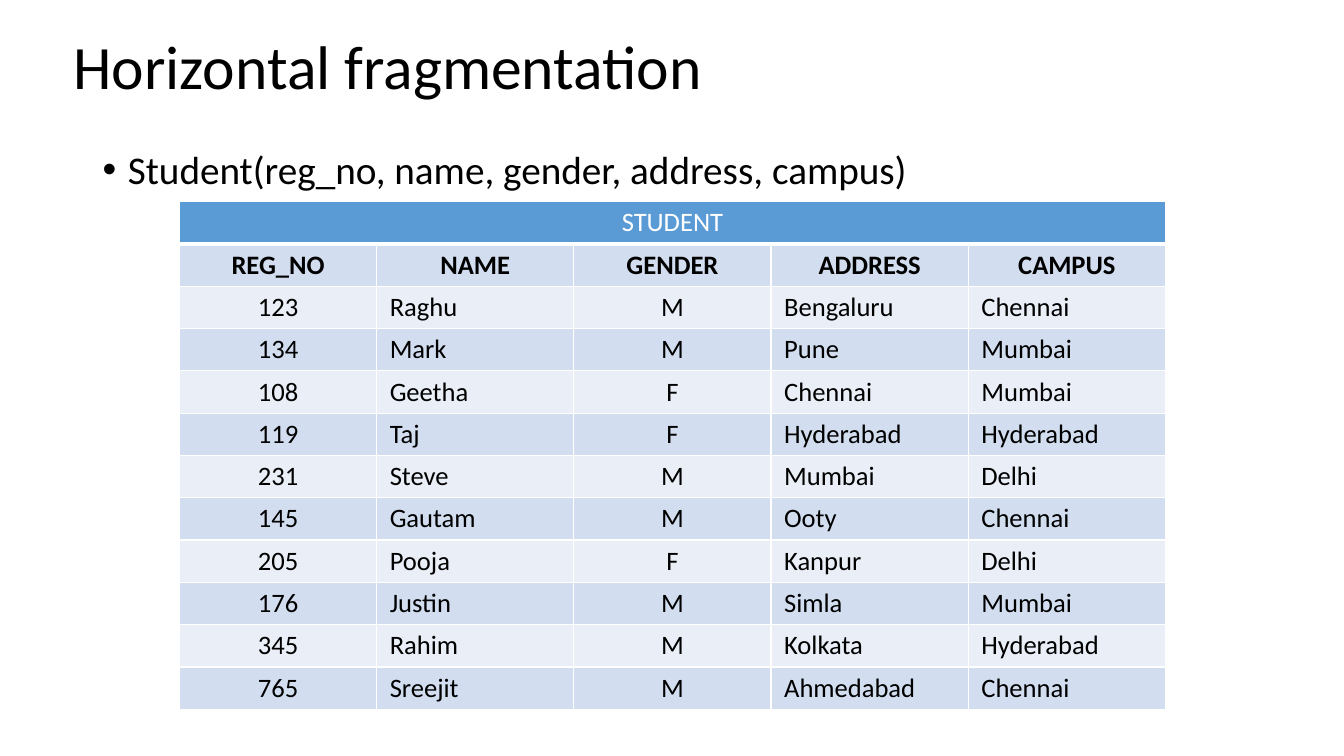
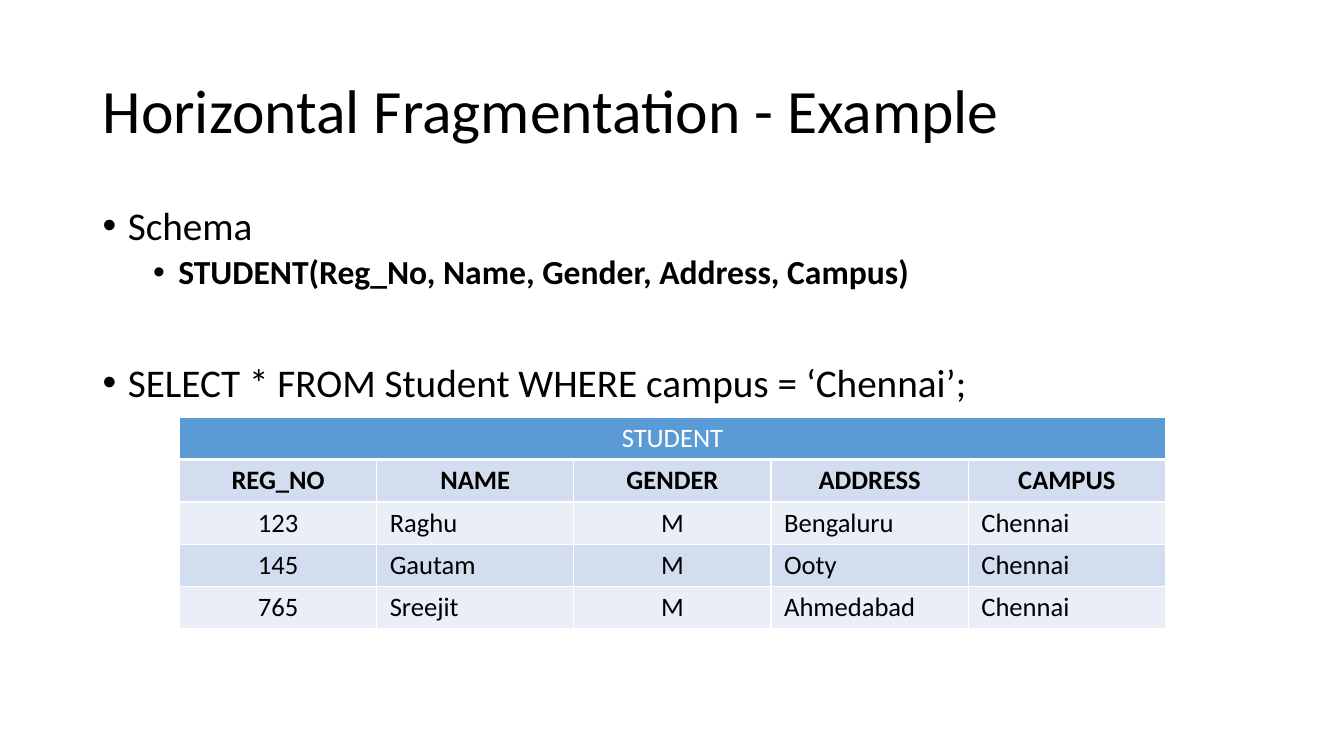
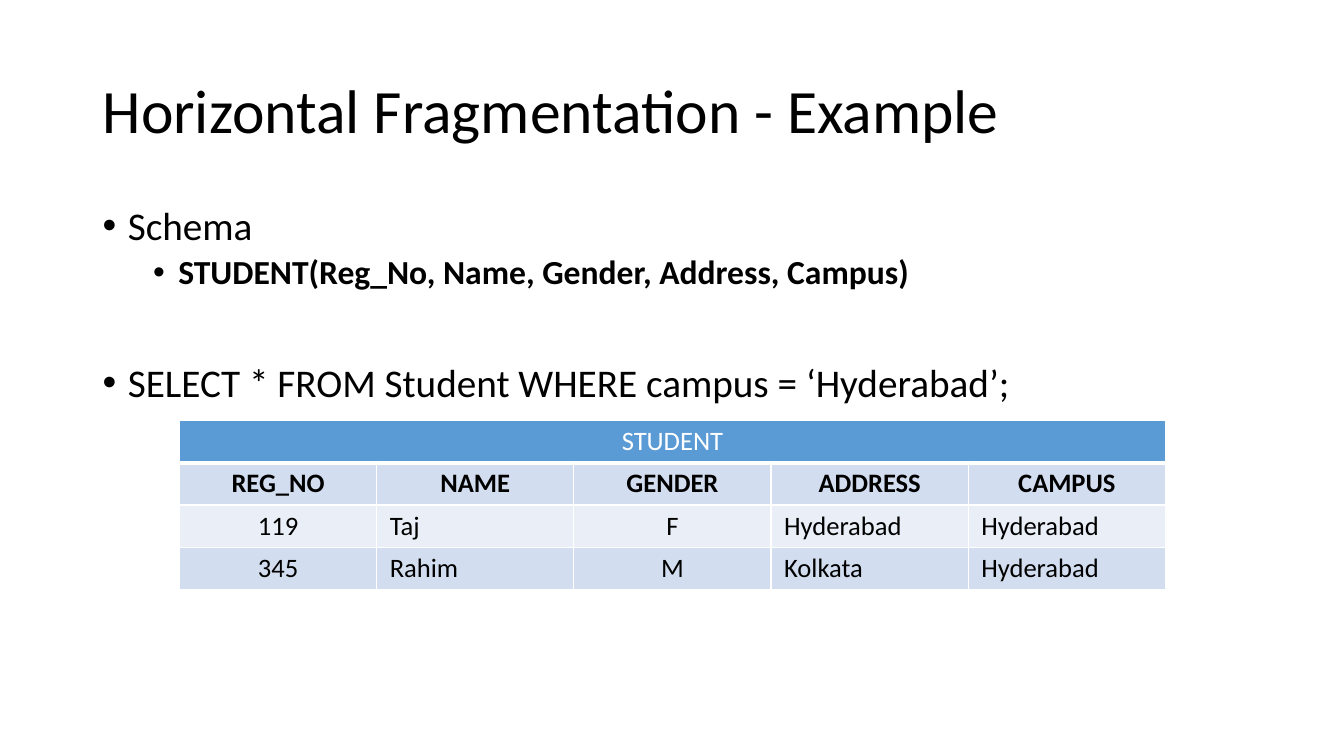
from lxml import etree
from pptx import Presentation
from pptx.dml.color import RGBColor
from pptx.enum.text import MSO_ANCHOR, PP_ALIGN
from pptx.oxml.ns import qn
from pptx.util import Inches, Pt

CENTER, LEFT = PP_ALIGN.CENTER, PP_ALIGN.LEFT
MIDDLE, TOP = MSO_ANCHOR.MIDDLE, MSO_ANCHOR.TOP

BLACK, WHITE = "000000", "FFFFFF"
HEADER_FILL = "5B9BD5"
BAND_FILLS = ("D2DEEF", "EAEFF7")

COLUMNS = ("REG_NO", "NAME", "GENDER", "ADDRESS", "CAMPUS")
COLUMN_ALIGNS = (CENTER, LEFT, CENTER, LEFT, LEFT)
STUDENTS = (
    ("123", "Raghu", "M", "Bengaluru", "Chennai"),
    ("134", "Mark", "M", "Pune", "Mumbai"),
    ("108", "Geetha", "F", "Chennai", "Mumbai"),
    ("119", "Taj", "F", "Hyderabad", "Hyderabad"),
    ("231", "Steve", "M", "Mumbai", "Delhi"),
    ("145", "Gautam", "M", "Ooty", "Chennai"),
    ("205", "Pooja", "F", "Kanpur", "Delhi"),
    ("176", "Justin", "M", "Simla", "Mumbai"),
    ("345", "Rahim", "M", "Kolkata", "Hyderabad"),
    ("765", "Sreejit", "M", "Ahmedabad", "Chennai"),
)


def color(value):
    return RGBColor.from_string(value)


def apply(target, values):
    for name, value in values.items():
        setattr(target, name, value)


class StudentDeck:
    font = "Calibri"
    levels = (
        {"size": 28, "bold": False, "indent": 0.25},
        {"size": 24, "bold": True, "indent": 0.75},
    )
    cell_margins = {
        "margin_left": Inches(0.13), "margin_right": Inches(0.13),
        "margin_top": Inches(0.05), "margin_bottom": Inches(0.05),
    }

    def __init__(self):
        self.deck = Presentation()
        apply(self.deck, {"slide_width": Inches(13.33), "slide_height": Inches(7.5)})
        self.page = None

    def add_page(self):
        self.page = self.deck.slides.add_slide(self.deck.slide_layouts[6])

    def text_frame(self, place, anchor):
        box = self.page.shapes.add_textbox(*map(Inches, place))
        apply(box.text_frame, {"word_wrap": True, "vertical_anchor": anchor})
        return box.text_frame

    def add_span(self, para, text, size, bold=False, ink=BLACK):
        span = para.add_run()
        span.text = text
        apply(span.font, {"name": self.font, "size": Pt(size), "bold": bold})
        span.font.color.rgb = color(ink)

    def title(self, text, place):
        para = self.text_frame(place, MIDDLE).paragraphs[0]
        para.line_spacing = 0.9
        self.add_span(para, text, 44)

    def bullets(self, place, items):
        frame = self.text_frame(place, TOP)
        for index, (text, level, space) in enumerate(items):
            para = frame.add_paragraph() if index else frame.paragraphs[0]
            style = self.levels[level]
            self.mark(para, style["indent"])
            apply(para, {"level": level, "line_spacing": 0.9, "space_before": Pt(space)})
            self.add_span(para, text, style["size"], style["bold"])

    def mark(self, para, indent):
        properties = para._p.get_or_add_pPr()
        properties.set("marL", str(Inches(indent)))
        properties.set("indent", str(Inches(-0.25)))
        etree.SubElement(properties, qn("a:buFont"), typeface="Arial")
        etree.SubElement(properties, qn("a:buChar"), char="•")

    def border(self, cell, bottom):
        properties = cell._tc.get_or_add_tcPr()
        for side, width in (("L", 1), ("R", 1), ("T", 1), ("B", bottom)):
            line = etree.SubElement(properties, qn(f"a:ln{side}"), w=str(Pt(width)))
            fill = etree.SubElement(line, qn("a:solidFill"))
            etree.SubElement(fill, qn("a:srgbClr"), val=WHITE)

    def paint(self, cell, fill, bottom=1):
        apply(cell, self.cell_margins)
        self.border(cell, bottom)
        cell.fill.solid()
        cell.fill.fore_color.rgb = color(fill)

    def fill_cell(self, cell, text, align, bold=False, ink=BLACK):
        para = cell.text_frame.paragraphs[0]
        para.alignment = align
        self.add_span(para, text, 19, bold, ink)

    def student_table(self, top, students):
        rows = (COLUMNS, *students)
        count, width, height = len(rows) + 1, 9.78, 0.42
        table = self.page.shapes.add_table(
            count, len(COLUMNS), Inches(1.78), Inches(top),
            Inches(width), Inches(height * count)).table
        apply(table, {"first_row": False, "horz_banding": False})
        for row in table.rows:
            row.height = Inches(height)
        for column in range(len(COLUMNS)):
            self.paint(table.cell(0, column), HEADER_FILL, 3)
        table.cell(0, 0).merge(table.cell(0, len(COLUMNS) - 1))
        self.fill_cell(table.cell(0, 0), "STUDENT", CENTER, ink=WHITE)
        for index, values in enumerate(rows):
            heading = index == 0
            for column, text in enumerate(values):
                cell = table.cell(index + 1, column)
                self.paint(cell, BAND_FILLS[index % 2])
                align = CENTER if heading else COLUMN_ALIGNS[column]
                self.fill_cell(cell, text, align, heading)

    def campus_page(self, campus, table_top):
        self.add_page()
        self.title("Horizontal Fragmentation - Example", (0.92, 0.4, 11.5, 1.45))
        self.bullets((0.92, 2, 11.5, 4.76), (
            ("Schema", 0, 0),
            ("STUDENT(Reg_No, Name, Gender, Address, Campus)", 1, 5),
            (f"SELECT * FROM Student WHERE campus = ‘{campus}’;", 0, 51),
        ))
        self.student_table(table_top, [row for row in STUDENTS if row[-1] == campus])


def main():
    show = StudentDeck()
    show.add_page()
    show.title("Horizontal fragmentation", (0.63, 0.09, 11.5, 1.2))
    show.bullets((0.92, 1.44, 11.5, 5.31),
                 (("Student(reg_no, name, gender, address, campus)", 0, 0),))
    show.student_table(2, STUDENTS)
    show.campus_page("Chennai", 4.14)
    show.campus_page("Hyderabad", 4.17)
    show.deck.save("out.pptx")


if __name__ == "__main__":
    main()
